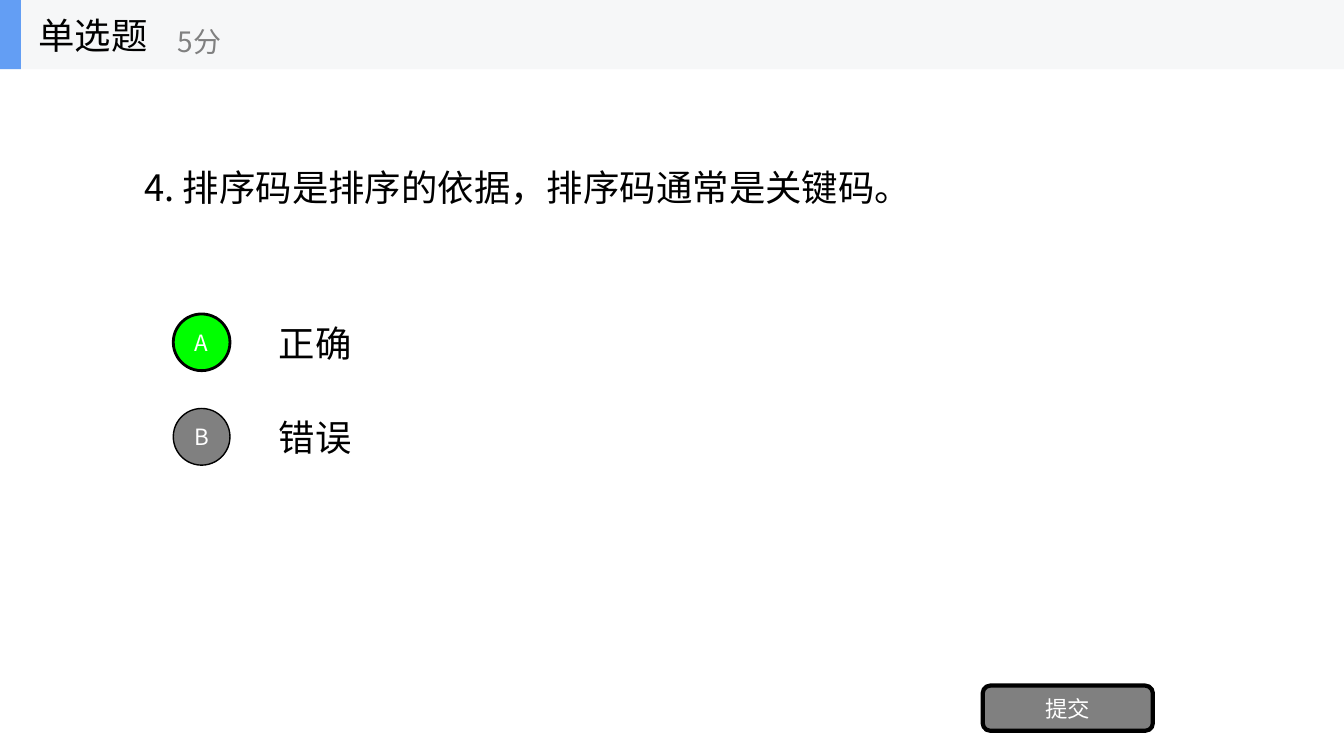
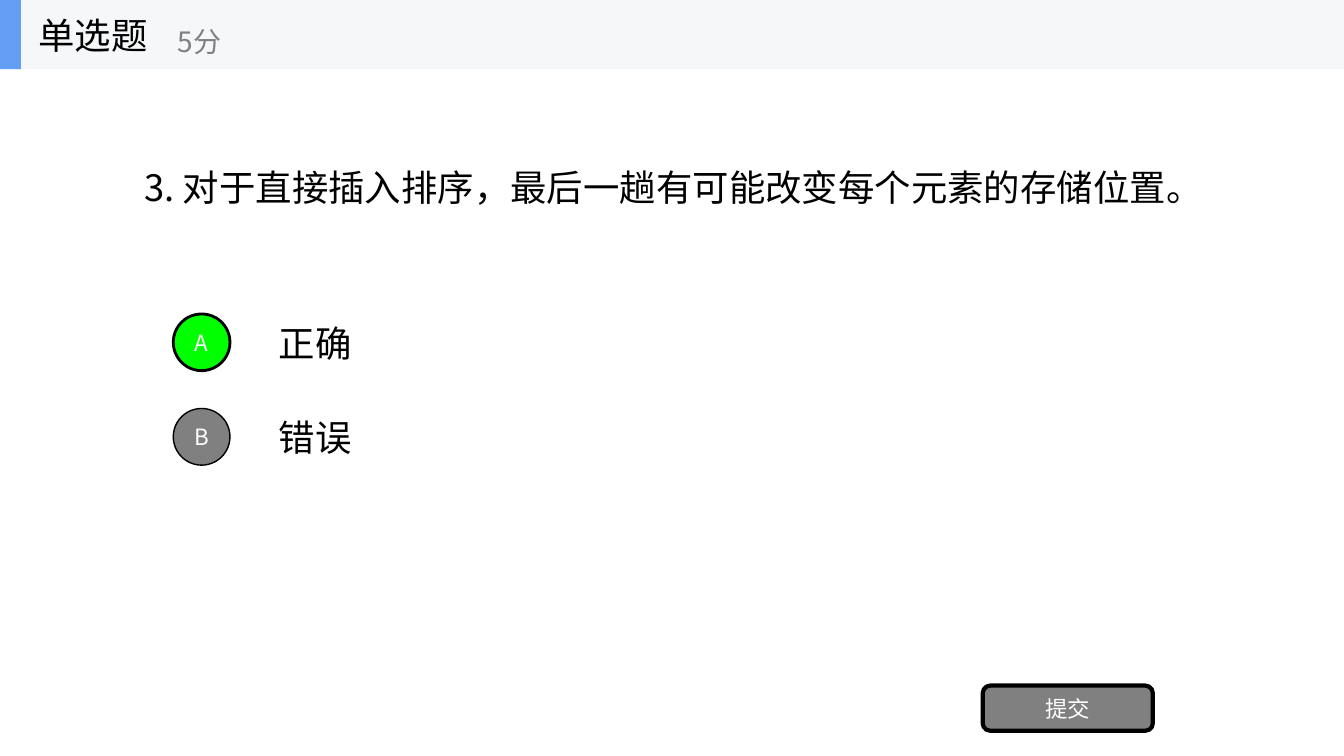
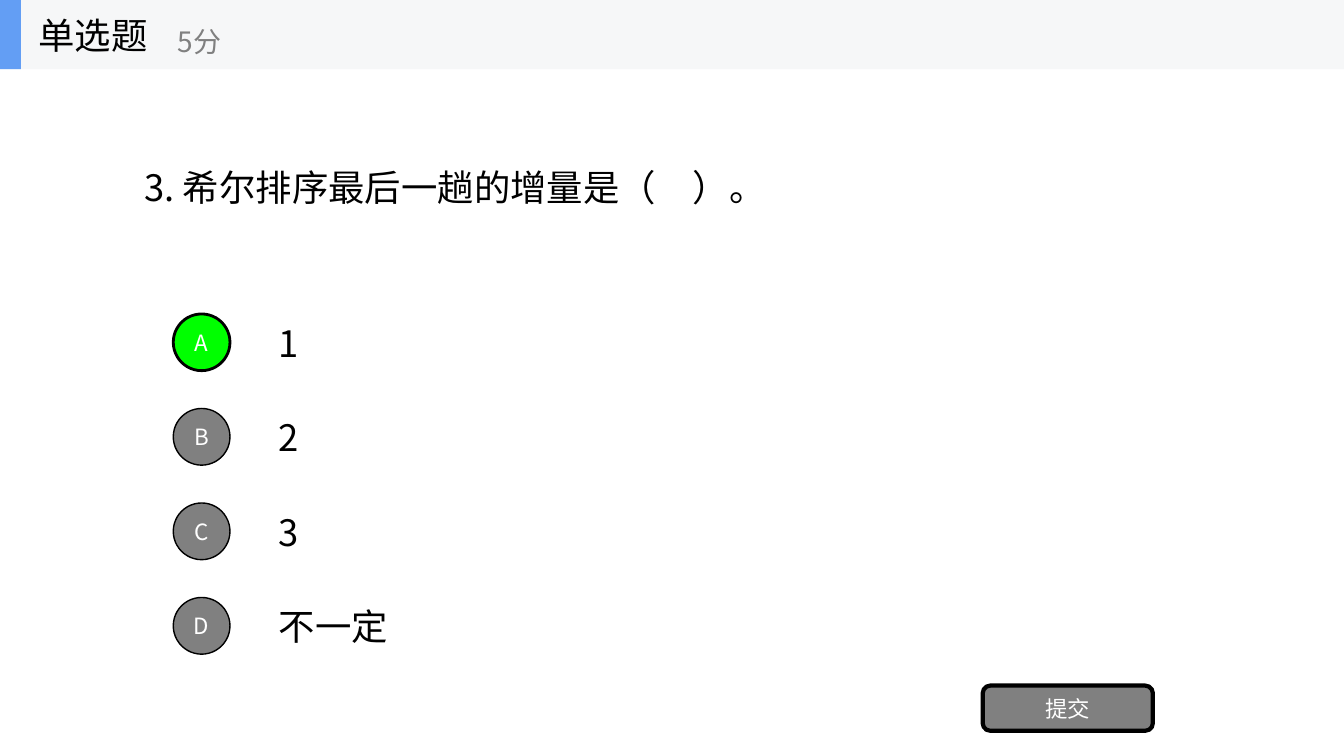
import dataclasses

import lxml.etree
import pptx
import pptx.dml.color
import pptx.enum.shapes
import pptx.enum.text
import pptx.oxml.ns
import pptx.util

PX = 9525
SHAPES = pptx.enum.shapes.MSO_SHAPE
ALIGN = pptx.enum.text.PP_ALIGN
MIDDLE = pptx.enum.text.MSO_ANCHOR.MIDDLE


@dataclasses.dataclass(frozen=True)
class Theme:
    font: str = "Noto Sans CJK SC"
    ink: str = "000000"
    white: str = "FFFFFF"
    band: str = "F6F7F8"
    accent: str = "639EF4"
    muted: str = "808080"
    correct: str = "00FF00"
    body_size: int = 26
    score_size: int = 20
    button_size: int = 16


def color(value):
    return pptx.dml.color.RGBColor.from_string(value)


def apply(target, values):
    for name, value in values.items():
        setattr(target, name, value)


class QuizDeck:
    def __init__(self, theme):
        self.theme = theme
        self.deck = pptx.Presentation()
        apply(self.deck, {"slide_width": 1280 * PX, "slide_height": 720 * PX})
        self.slide = None

    def new_slide(self):
        self.slide = self.deck.slides.add_slide(self.deck.slide_layouts[6])

    def fill_frame(self, frame, text, size, ink, align=ALIGN.LEFT, wrap=True):
        apply(frame, {"word_wrap": wrap, "vertical_anchor": MIDDLE})
        paragraph = frame.paragraphs[0]
        paragraph.alignment = align
        run = paragraph.add_run()
        run.text = text
        apply(run.font, {"size": pptx.util.Pt(size), "name": self.theme.font})
        run.font.color.rgb = color(ink)
        east_asian = lxml.etree.SubElement(run.font._element, pptx.oxml.ns.qn("a:ea"))
        east_asian.set("typeface", self.theme.font)

    def text(self, box, text, size=None, ink=None, wrap=True, parent=None):
        shapes = (parent or self.slide).shapes
        label = shapes.add_textbox(*(length * PX for length in box))
        self.fill_frame(label.text_frame, text, size or self.theme.body_size,
                        ink or self.theme.ink, wrap=wrap)

    def shape(self, kind, box, fill, line_width=0, parent=None):
        shapes = (parent or self.slide).shapes
        shape = shapes.add_shape(kind, *(length * PX for length in box))
        shape.shadow.inherit = False
        shape.fill.solid()
        shape.fill.fore_color.rgb = color(fill)
        if line_width:
            shape.line.color.rgb = color(self.theme.ink)
            shape.line.width = pptx.util.Pt(line_width)
        else:
            shape.line.fill.background()
        return shape

    def button(self, kind, box, text, fill, line_width):
        frame = self.shape(kind, box, fill, line_width).text_frame
        apply(frame, dict.fromkeys(
            ("margin_left", "margin_top", "margin_right", "margin_bottom"), 0))
        self.fill_frame(frame, text, self.theme.button_size, self.theme.white,
                        ALIGN.CENTER)

    def header(self, title, score):
        band = self.slide.shapes.add_group_shape()
        self.shape(SHAPES.RECTANGLE, (0, 0, 1280, 66), self.theme.band, parent=band)
        self.shape(SHAPES.RECTANGLE, (0, 0, 20, 66), self.theme.accent, parent=band)
        self.text((27, 0, 200, 66), title, wrap=False, parent=band)
        self.text((160, 12, 240, 54), score, self.theme.score_size,
                  self.theme.muted, wrap=False, parent=band)

    def options(self, answers, correct):
        pitch = 90
        for row, answer in enumerate(answers):
            self.text((256, 293 + row * pitch, 896, 67), answer)
        for row, letter in enumerate("ABCD"[:len(answers)]):
            chosen = letter == correct
            self.button(SHAPES.OVAL, (165, 299 + row * pitch, 54, 54), letter,
                        self.theme.correct if chosen else self.theme.muted,
                        2 if chosen else 1)

    def question(self, prompt, answers, correct):
        self.new_slide()
        self.text((128, 66, 1024, 225), prompt)
        self.options(answers, correct)
        self.button(SHAPES.ROUNDED_RECTANGLE, (936, 653, 162, 43), "提交",
                    self.theme.muted, 3)
        self.header("单选题", "5分")


QUESTIONS = (
    ("4. 排序码是排序的依据，排序码通常是关键码。", ("正确", "错误"), "A"),
    ("3. 对于直接插入排序，最后一趟有可能改变每个元素的存储位置。", ("正确", "错误"), "A"),
    ("3. 希尔排序最后一趟的增量是（　）。", ("1", "2", "3", "不一定"), "A"),
)


def main():
    quiz = QuizDeck(Theme())
    for prompt, answers, correct in QUESTIONS:
        quiz.question(prompt, answers, correct)
    quiz.deck.save("out.pptx")


if __name__ == "__main__":
    main()
